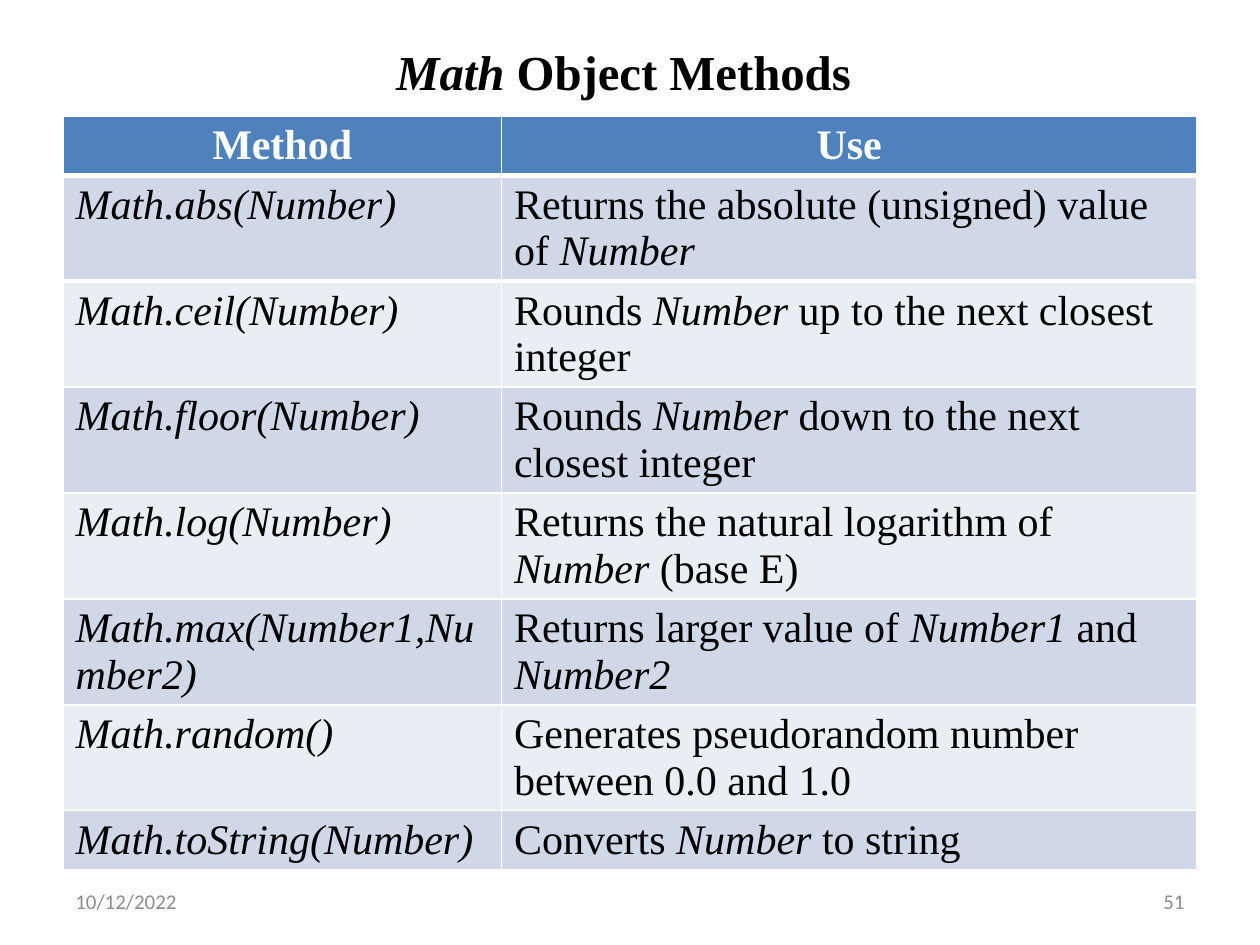
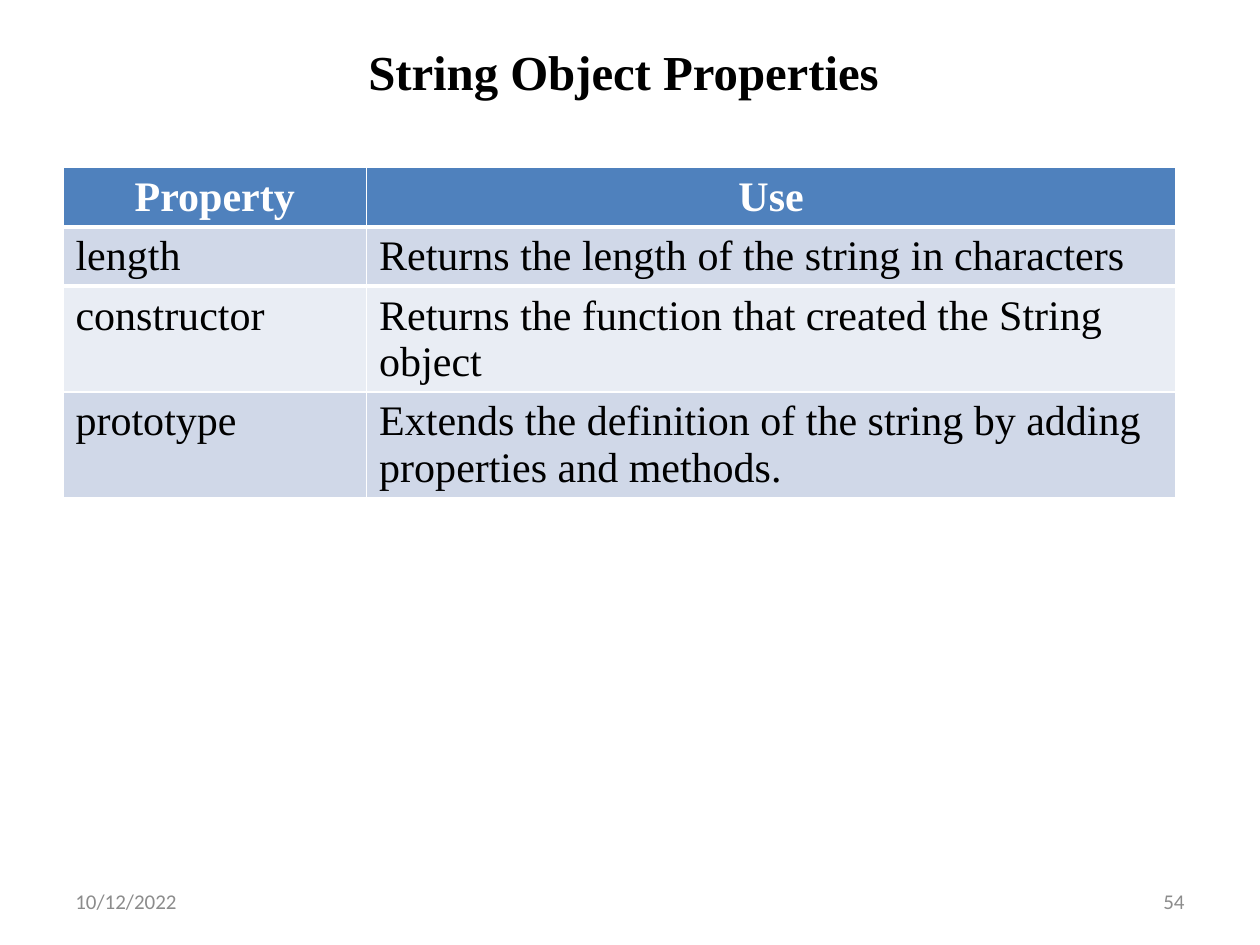
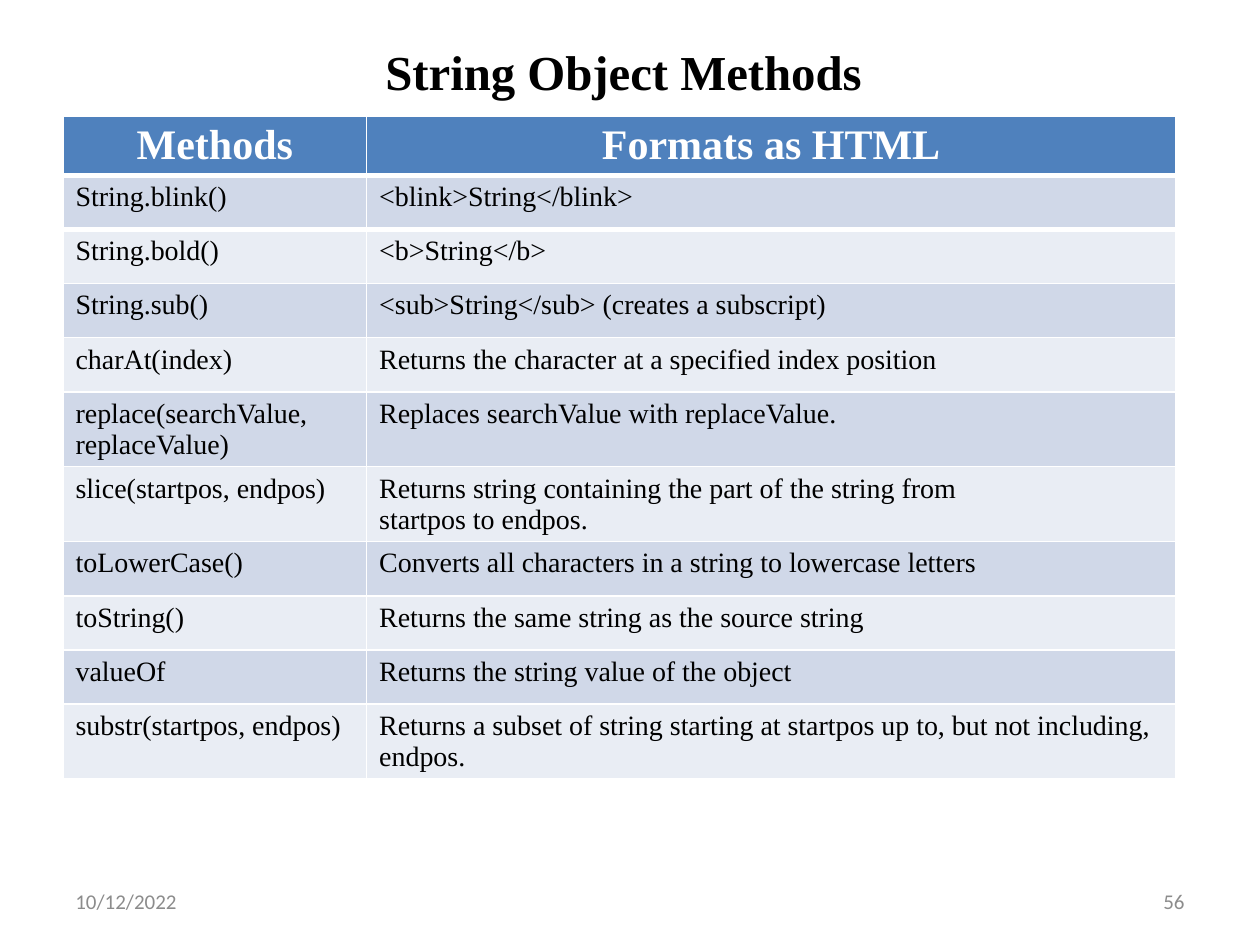
"""Builds three slides of reference tables on the Math and String objects."""
from copy import deepcopy

from lxml import etree
from pptx import Presentation
from pptx.dml.color import RGBColor
from pptx.enum.text import MSO_ANCHOR, PP_ALIGN
from pptx.oxml.ns import qn
from pptx.util import Inches, Pt

LEFT, CENTER, RIGHT = PP_ALIGN.LEFT, PP_ALIGN.CENTER, PP_ALIGN.RIGHT
MIDDLE = MSO_ANCHOR.MIDDLE
SERIF, SANS = "Times New Roman", "Calibri"
COLORS = {"text": "000000", "header": "4F81BD", "header_text": "FFFFFF", "rule": "FFFFFF",
          "odd": "D0D8E8", "even": "E9EDF4", "footer": "8C8C8C"}
ROW_H = 0.43
LINE_PITCH = 1.11
DATE = "10/12/2022"

SLIDES = [
    {"title": "*Math* Object Methods", "number": "51", "top": 0.92,
     "cols": [3.48, 5.52], "size": 24, "rows": [
         ("Method", "Use"),
         ("*Math.abs(Number)*", "Returns the absolute (unsigned) value of *Number*"),
         ("*Math.ceil(Number)*", "Rounds *Number* up to the next closest integer"),
         ("*Math.floor(Number)*", "Rounds *Number* down to the next closest integer"),
         ("*Math.log(Number)*", "Returns the natural logarithm of *Number* (base E)"),
         ("*Math.max(Number1,Number2)*", "Returns larger value of *Number1* and *Number2*"),
         ("*Math.random()*", "Generates pseudorandom number between 0.0 and 1.0"),
         ("*Math.toString(Number)*", "Converts *Number* to string")]},
    {"title": "String Object Properties", "number": "54", "top": 1.33,
     "cols": [2.41, 6.42], "size": 24, "rows": [
         ("Property", "Use"),
         ("length", "Returns the length of the string in characters"),
         ("constructor", "Returns the function that created the String object"),
         ("prototype", "Extends the definition of the string by adding properties and methods.")]},
    {"title": "String Object Methods", "number": "56", "top": 0.92,
     "cols": [2.41, 6.42], "size": 16, "rows": [
         ("Methods", "Formats as HTML"),
         ("String.blink()", "<blink>String</blink>"),
         ("String.bold()", "<b>String</b>"),
         ("String.sub()", "<sub>String</sub> (creates a subscript)"),
         ("charAt(index)", "Returns the character at a specified index position"),
         ("replace(searchValue, replaceValue)", "Replaces searchValue with replaceValue."),
         ("slice(startpos, endpos)",
          "Returns string containing the part of the string from\nstartpos to endpos."),
         ("toLowerCase()", "Converts all characters in a string to lowercase letters"),
         ("toString()", "Returns the same string as the source string"),
         ("valueOf", "Returns the string value of the object"),
         ("substr(startpos, endpos)",
          "Returns a subset of string starting at startpos up to, but not including, endpos.")]},
]


def write(tf, text, size, color, font=SERIF, align=LEFT, bold=False):
    """Write text into a frame, with the parts between asterisks in italics."""
    p = tf.paragraphs[0]
    p.alignment = align
    for n, line in enumerate(text.split("\n")):
        if n:
            p.add_line_break()
        for i, part in enumerate(line.split("*")):
            if part:
                r = p.add_run()
                r.text = part
                r.font.name, r.font.size = font, Pt(size)
                r.font.bold, r.font.italic = bold, i % 2 == 1
                r.font.color.rgb = RGBColor.from_string(COLORS[color])
    for br in p._p.findall(qn("a:br")):
        br.append(deepcopy(r.font._rPr))


def add_text(s, box, text, size, color, **style):
    """Add a wrapped, vertically centred text box."""
    tf = s.shapes.add_textbox(*map(Inches, box)).text_frame
    tf.word_wrap = True
    tf.vertical_anchor = MIDDLE
    write(tf, text, size, color, **style)
    return tf


prs = Presentation()
prs.slide_width, prs.slide_height = Inches(10), Inches(7.5)

for page in SLIDES:
    s = prs.slides.add_slide(prs.slide_layouts[6])
    tf = add_text(s, (0.5, 0.3, 9, 0.53), page["title"], 27.9, "text", align=CENTER, bold=True)
    tf.margin_right = Inches(0.2)

    rows, cols = page["rows"], page["cols"]
    table = s.shapes.add_table(len(rows), len(cols), Inches(0.5), Inches(page["top"]),
                               Inches(sum(cols)), Inches(ROW_H * len(rows))).table
    for column, width in zip(table.columns, cols):
        column.width = Inches(width)
    for i, row in enumerate(rows):
        fill = "header" if i == 0 else "odd" if i % 2 else "even"
        size = 24 if i == 0 else page["size"]
        for j, text in enumerate(row):
            cell = table.cell(i, j)
            cell.fill.solid()
            cell.fill.fore_color.rgb = RGBColor.from_string(COLORS[fill])
            if i == 0:
                write(cell.text_frame, text, size, "header_text", align=CENTER, bold=True)
            else:
                write(cell.text_frame, text, size, "text")
            cell.text_frame.paragraphs[0].line_spacing = Pt(size * LINE_PITCH)
            if i < 2:
                ln = etree.Element(qn("a:lnT" if i else "a:lnB"), w=str(Pt(3)))
                solid = etree.SubElement(ln, qn("a:solidFill"))
                etree.SubElement(solid, qn("a:srgbClr"), val=COLORS["rule"])
                cell._tc.get_or_add_tcPr().insert(0, ln)

    add_text(s, (0.5, 6.95, 2.33, 0.4), DATE, 12, "footer", font=SANS)
    add_text(s, (7.17, 6.95, 2.33, 0.4), page["number"], 12, "footer", font=SANS, align=RIGHT)

prs.save("out.pptx")
